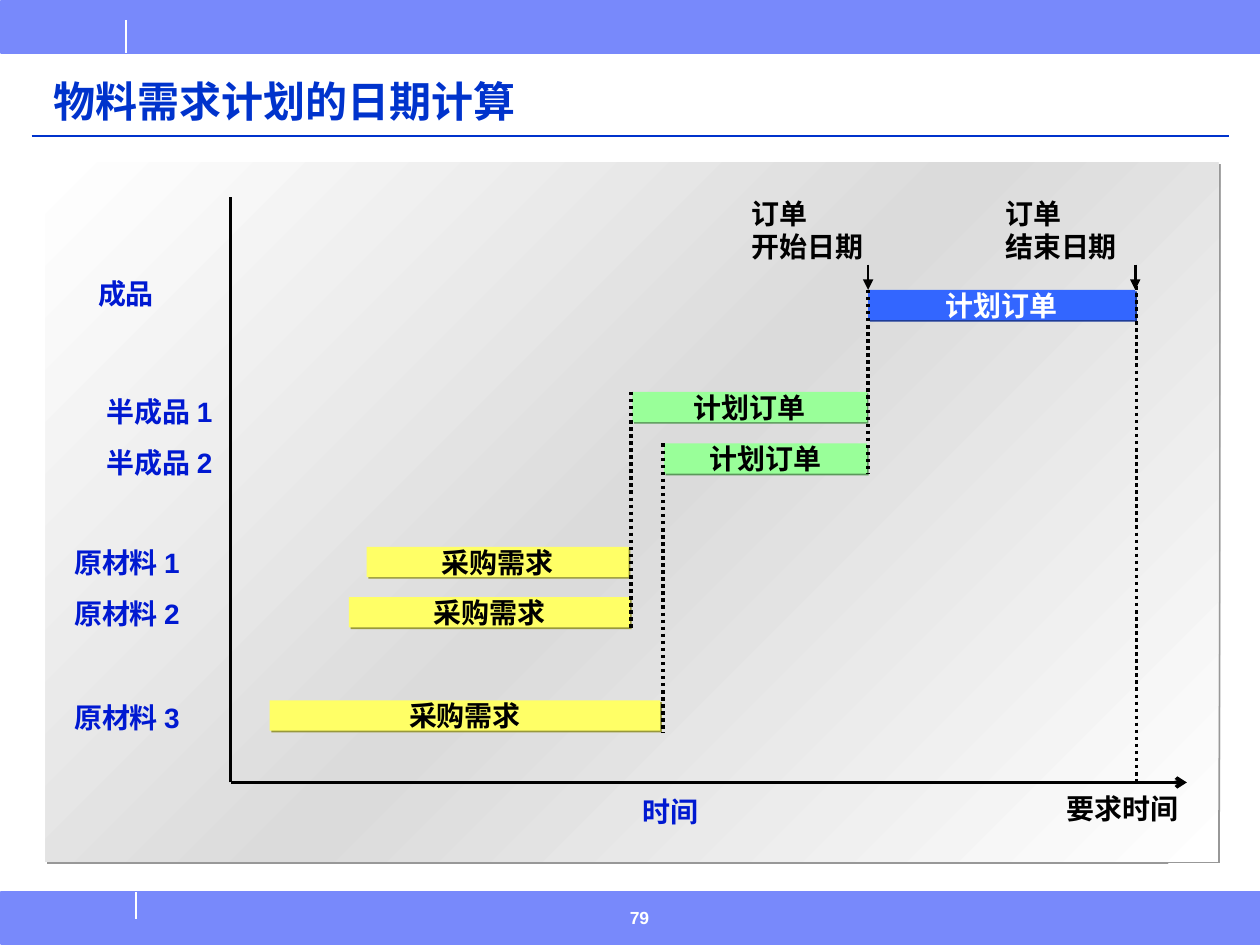
from lxml.etree import SubElement
from pptx import Presentation
from pptx.dml.color import RGBColor
from pptx.enum.dml import MSO_LINE
from pptx.enum.shapes import MSO_CONNECTOR, MSO_SHAPE
from pptx.enum.text import MSO_ANCHOR, MSO_AUTO_SIZE, PP_ALIGN
from pptx.oxml import parse_xml
from pptx.oxml.ns import nsdecls, qn
from pptx.util import Inches, Pt

BAND, TITLE, LABEL = "7889FB", "0033CC", "0019D1"
BLACK, WHITE = "000000", "FFFFFF"

# left, top, width, fill, shadow, text, text colour
BARS = [
    (6.89, 2.3, 2.12, "3366FF", "1E3C98", "计划订单", WHITE),
    (5.02, 3.11, 1.86, "99FF99", "5B985B", "计划订单", BLACK),
    (5.27, 3.52, 1.61, "99FF99", "5B985B", "计划订单", BLACK),
    (2.91, 4.34, 2.08, "FFFF66", "98983C", "采购需求", BLACK),
    (2.77, 4.74, 2.23, "FFFF66", "98983C", "采购需求", BLACK),
    (2.14, 5.56, 3.1, "FFFF66", "98983C", "采购需求", BLACK),
]

# left, top, width, height, lines, colour, gap between lines in points
LABELS = [
    (0.75, 3.08, 1.16, 0.77, ["半成品 1", "半成品 2"], LABEL, 10),
    (0.49, 4.28, 1.16, 0.77, ["原材料 1", "原材料 2"], LABEL, 10),
    (0.49, 5.51, 1.16, 0.37, ["原材料 3"], LABEL, 0),
    (5, 6.26, 0.7, 0.37, ["时间"], LABEL, 0),
    (5.87, 1.51, 1.2, 0.64, ["订单", "开始日期"], BLACK, 0),
    (7.88, 1.51, 1.2, 0.64, ["订单", "结束日期"], BLACK, 0),
    (8.37, 6.23, 1.2, 0.37, ["要求时间"], BLACK, 0),
]

# x, top, bottom
DOTS = [(6.89, 2.3, 3.76), (5.26, 3.52, 5.82), (5.01, 3.11, 4.99), (9.02, 2.27, 6.2)]


def rgb(code):
    return RGBColor.from_string(code)


def add_rect(slide, left, top, width, height, fill):
    rect = slide.shapes.add_shape(
        MSO_SHAPE.RECTANGLE, Inches(left), Inches(top), Inches(width), Inches(height))
    rect.shadow.inherit = False
    rect.fill.solid()
    rect.fill.fore_color.rgb = rgb(fill)
    rect.line.fill.background()
    return rect


def add_band(slide, top):
    band = add_rect(slide, 0.01, top, 9.99, 0.41, BAND)
    band.line.color.rgb = rgb(BAND)
    band.line.width = Pt(1)


def drop_shadow(shape, code):
    """Give the shape a hard shadow to the lower right."""
    effects = shape._element.spPr.find(qn("a:effectLst"))
    effects.append(parse_xml(
        f'<a:outerShdw {nsdecls("a")} blurRad="0" dist="17780" dir="2700000" '
        f'algn="ctr" rotWithShape="0"><a:srgbClr val="{code}"/></a:outerShdw>'))


def shade(shape, stops, angle):
    """Replace the solid fill by a linear gradient."""
    marks = "".join(f'<a:gs pos="{pos * 1000}"><a:srgbClr val="{code}"/></a:gs>'
                    for pos, code in stops)
    props = shape._element.spPr
    solid = props.find(qn("a:solidFill"))
    props.replace(solid, parse_xml(
        f'<a:gradFill {nsdecls("a")} rotWithShape="1"><a:gsLst>{marks}</a:gsLst>'
        f'<a:lin ang="{angle * 60000}" scaled="1"/></a:gradFill>'))


def add_run(para, text, size, color, font="Arial"):
    run = para.add_run()
    run.text = text
    run.font.size = Pt(size)
    run.font.bold = True
    run.font.name = font
    run.font.color.rgb = rgb(color)


def add_bar(slide, left, top, width, fill, shadow, text, color):
    bar = add_rect(slide, left, top, width, 0.24, fill)
    drop_shadow(bar, shadow)
    frame = bar.text_frame
    frame.word_wrap = False
    frame.vertical_anchor = MSO_ANCHOR.MIDDLE
    para = frame.paragraphs[0]
    para.alignment = PP_ALIGN.CENTER
    add_run(para, text, 16, color)


def add_box(slide, left, top, width, height):
    box = slide.shapes.add_textbox(
        Inches(left), Inches(top), Inches(width), Inches(height))
    box.text_frame.word_wrap = True
    return box.text_frame


def add_label(slide, left, top, width, height, lines, color, gap):
    frame = add_box(slide, left, top, width, height)
    frame.auto_size = MSO_AUTO_SIZE.SHAPE_TO_FIT_TEXT
    for i, line in enumerate(lines):
        para = frame.add_paragraph() if i else frame.paragraphs[0]
        if i and gap:
            para.space_before = Pt(gap)
        add_run(para, line, 16, color)
    return frame


def add_line(slide, x1, y1, x2, y2, color, width, dash=None, arrow=None):
    line = slide.shapes.add_connector(
        MSO_CONNECTOR.STRAIGHT, Inches(x1), Inches(y1), Inches(x2), Inches(y2))
    line.line.color.rgb = rgb(color)
    line.line.width = Pt(width)
    if dash:
        line.line.dash_style = dash
    props = line._element.spPr
    if arrow:
        SubElement(props.find(qn("a:ln")), qn("a:tailEnd"), type=arrow)
    SubElement(props, qn("a:effectLst"))


def add_frame(slide):
    """Bands, rules, title and page number."""
    for top in (0.01, 7.08):
        add_band(slide, top)
    add_line(slide, 1, 0.16, 1, 0.42, WHITE, 1)
    add_line(slide, 1.08, 7.08, 1.08, 7.29, WHITE, 1)
    add_line(slide, 0.25, 1.08, 9.75, 1.08, TITLE, 1)
    title = add_box(slide, 0.33, 0.5, 9.18, 0.55)
    title.vertical_anchor = MSO_ANCHOR.BOTTOM
    title.paragraphs[0].line_spacing = 0.9
    add_run(title.paragraphs[0], "物料需求计划的日期计算", 24, TITLE, "Times New Roman")
    page = add_box(slide, 4.9, 7.15, 0.83, 0.35)
    add_run(page.paragraphs[0], "79", 10, WHITE)


def add_plan(slide):
    """Panel, order bars, axes, labels and date marks."""
    panel = add_rect(slide, 0.36, 1.29, 9.31, 5.55, WHITE)
    shade(panel, [(0, WHITE), (50, "DBDBDB"), (100, WHITE)], 225)
    drop_shadow(panel, "989898")
    for bar in BARS:
        add_bar(slide, *bar)
    add_line(slide, 1.83, 6.21, 1.83, 1.56, BLACK, 2)
    add_line(slide, 1.83, 6.21, 9.42, 6.21, BLACK, 2, arrow="arrow")
    top = add_label(slide, 0.68, 2.2, 0.7, 0.32, ["成品"], LABEL, 0)
    top.paragraphs[0].line_spacing = 0.8
    for label in LABELS:
        add_label(slide, *label)
    for x in (6.89, 9.01):
        add_line(slide, x, 2.1, x, 2.3, BLACK, 1.5, arrow="triangle")
    for x, start, end in DOTS:
        add_line(slide, x, start, x, end, BLACK, 2, dash=MSO_LINE.ROUND_DOT)


def main():
    deck = Presentation()
    deck.slide_width, deck.slide_height = Inches(10), Inches(7.5)
    slide = deck.slides.add_slide(deck.slide_layouts[6])
    add_frame(slide)
    add_plan(slide)
    deck.save("out.pptx")


if __name__ == "__main__":
    main()
